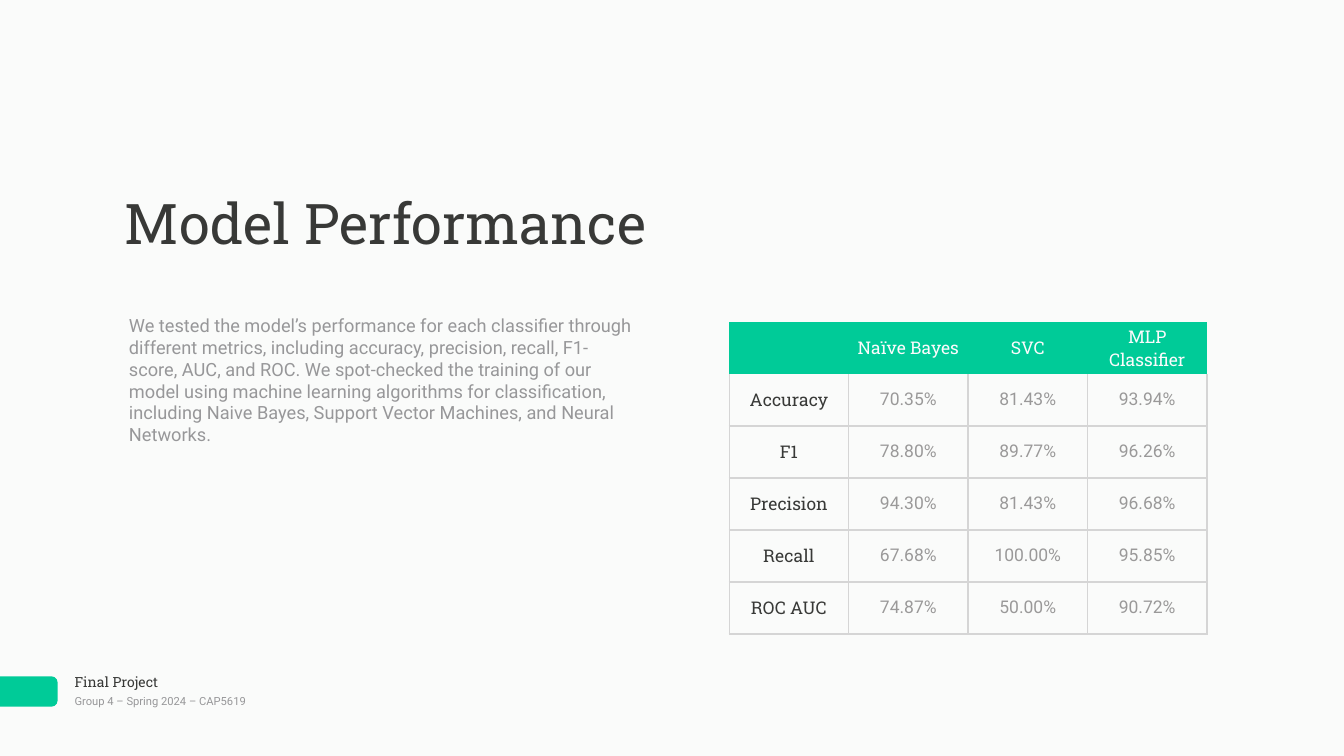
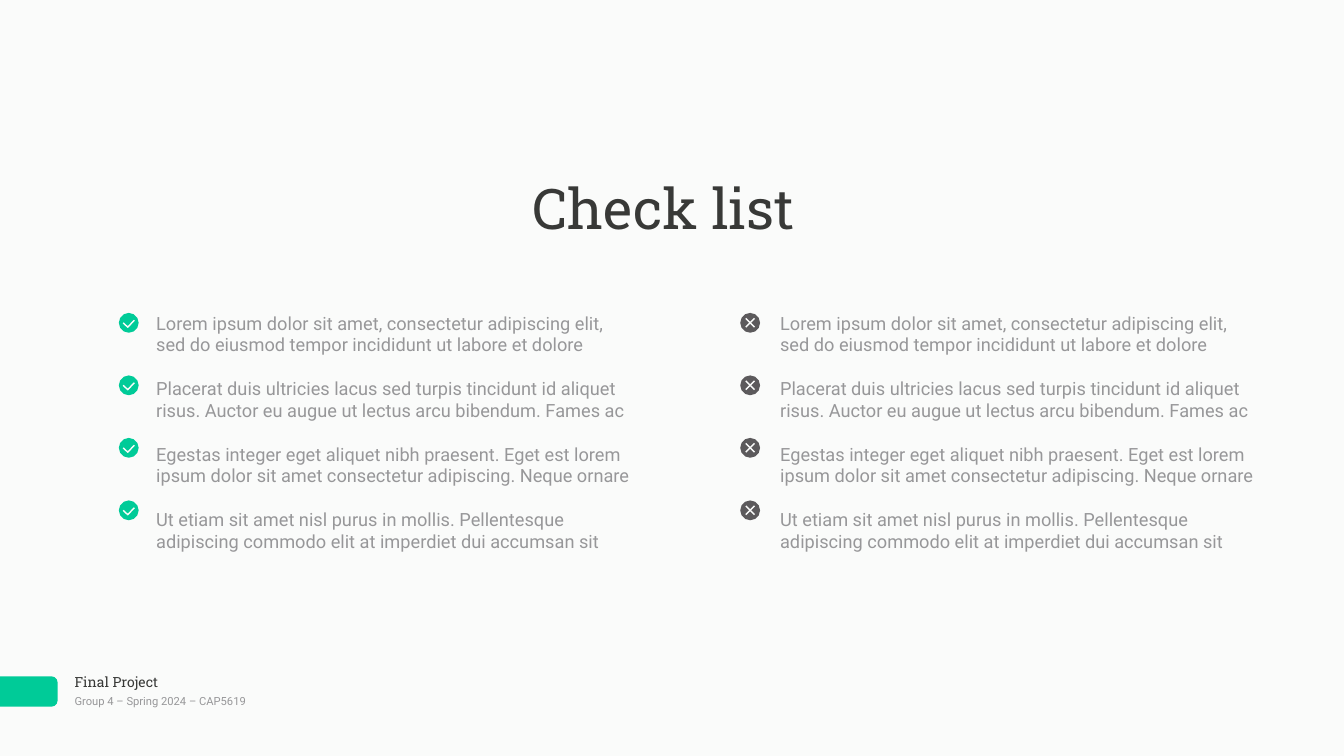
import pptx
import pptx.util
import pptx.dml.color
import pptx.enum.shapes
import pptx.enum.text
import pptx.oxml
from pptx.oxml.ns import nsdecls

Cm, Pt = pptx.util.Cm, pptx.util.Pt
ALIGN = pptx.enum.text.PP_ALIGN
ANCHOR = pptx.enum.text.MSO_ANCHOR
SHAPE = pptx.enum.shapes.MSO_SHAPE

PAPER, GREEN, DARK, GREY = "FAFBFA", "00CB98", "383937", "979799"
CROSS_GREY, CELL_GREY, HEADER_WHITE, BORDER = "5C5A5C", "9A9999", "FBFBFC", "D5D5D5"
SLAB, SANS = "Roboto Slab", "Roboto"
INSET = Cm(0.15)

TICK = [[(-0.28, 0), (-0.05, 0.22), (0.28, -0.13)]]
CROSS = [[(-0.22, -0.22), (0.22, 0.22)], [(-0.22, 0.22), (0.22, -0.22)]]

METRICS = [
    ["", "Naïve Bayes", "SVC", "MLP\vClassifier"],
    ["Accuracy", "70.35%", "81.43%", "93.94%"],
    ["F1", "78.80%", "89.77%", "96.26%"],
    ["Precision", "94.30%", "81.43%", "96.68%"],
    ["Recall", "67.68%", "100.00%", "95.85%"],
    ["ROC AUC", "74.87%", "50.00%", "90.72%"],
]

SUMMARY = (
    "We tested the model’s performance for each classifier through different metrics, "
    "including accuracy, precision, recall, F1-score, AUC, and ROC. We spot-checked the "
    "training of our model using machine learning algorithms for classification, including "
    "Naive Bayes, Support Vector Machines, and Neural Networks."
)

CHECKS = [
    "Lorem ipsum dolor sit amet, consectetur adipiscing elit, "
    "sed do eiusmod tempor incididunt ut labore et dolore",
    "Placerat duis ultricies lacus sed turpis tincidunt id aliquet risus. "
    "Auctor eu augue ut lectus arcu bibendum. Fames ac",
    "Egestas integer eget aliquet nibh praesent. Eget est lorem ipsum dolor "
    "sit amet consectetur adipiscing. Neque ornare",
    "Ut etiam sit amet nisl purus in mollis. Pellentesque adipiscing commodo "
    "elit at imperdiet dui accumsan sit",
]


def rgb(value):
    return pptx.dml.color.RGBColor.from_string(value)


def paint(fill, colour):
    fill.solid()
    fill.fore_color.rgb = rgb(colour)


def write(tf, text, size=26, font=SANS, colour=GREY, align=ALIGN.LEFT,
          anchor=ANCHOR.TOP, gap=0):
    paragraphs = [text] if isinstance(text, str) else text
    tf.word_wrap = True
    tf.vertical_anchor = anchor
    tf.margin_left = tf.margin_right = tf.margin_top = tf.margin_bottom = INSET
    for i, content in enumerate(paragraphs):
        p = tf.add_paragraph() if i else tf.paragraphs[0]
        p.text = content
        p.alignment = align
        p.space_before = Pt(gap if i else 0)
        for r in p.runs:
            r.font.name = font
            r.font.size = Pt(size)
            r.font.color.rgb = rgb(colour)


def add_text(s, text, x, y, w, h, **style):
    box = s.shapes.add_textbox(Cm(x), Cm(y), Cm(w), Cm(h))
    write(box.text_frame, text, **style)


def set_title(s, text, x, y, w, align=ALIGN.LEFT):
    title = s.shapes.title
    title.left, title.top, title.width, title.height = Cm(x), Cm(y), Cm(w), Cm(3.71)
    title.text_frame.auto_size = pptx.enum.text.MSO_AUTO_SIZE.NONE
    write(title.text_frame, text, size=80, font=SLAB, colour=DARK, align=align)


def add_solid(s, kind, x, y, w, h, colour):
    sp = s.shapes.add_shape(kind, Cm(x), Cm(y), Cm(w), Cm(h))
    sp.shadow.inherit = False
    paint(sp.fill, colour)
    sp.line.fill.background()
    return sp


def add_footer(s):
    tag = add_solid(s, SHAPE.ROUNDED_RECTANGLE, -0.3, 34.09, 3.2, 1.52, GREEN)
    tag.adjustments[0] = 0.19
    add_text(s, "Final Project", 3.61, 33.78, 8.1, 1.14, size=20, font=SLAB, colour=DARK)
    add_text(s, "Group 4 – Spring 2024 – CAP5619", 3.61, 34.87, 11.99, 0.97,
             size=16, anchor=ANCHOR.MIDDLE)


def new_slide(prs):
    s = prs.slides.add_slide(prs.slide_layouts[5])
    add_footer(s)
    return s


def set_borders(cell, visible):
    tc_pr = cell._tc.get_or_add_tcPr()
    for i, side in enumerate("LRTB"):
        if side in visible:
            paint_xml = f'<a:solidFill><a:srgbClr val="{BORDER}"/></a:solidFill>'
        else:
            paint_xml = "<a:noFill/>"
        line = f'<a:ln{side} {nsdecls("a")} w="{Pt(2)}">{paint_xml}</a:ln{side}>'
        tc_pr.insert(i, pptx.oxml.parse_xml(line))


def add_metrics_table(s, rows, x, y, col_w, row_h):
    n_rows, n_cols = len(rows), len(rows[0])
    frame = s.shapes.add_table(n_rows, n_cols, Cm(x), Cm(y),
                               Cm(col_w * n_cols), Cm(row_h * n_rows))
    table = frame.table
    for col in table.columns:
        col.width = Cm(col_w)
    for i, row in enumerate(rows):
        table.rows[i].height = Cm(row_h)
        for j, text in enumerate(row):
            cell = table.cell(i, j)
            if i == 0:
                font, colour, borders = SLAB, HEADER_WHITE, ""
                paint(cell.fill, GREEN)
            else:
                font, colour = (SANS, CELL_GREY) if j else (SLAB, DARK)
                borders = "LRB" if i == 1 else "LRTB"
                cell.fill.background()
            set_borders(cell, borders)
            write(cell.text_frame, text, size=25, font=font, colour=colour,
                  align=ALIGN.CENTER)
            cell.vertical_anchor = ANCHOR.MIDDLE
            cell.margin_left = cell.margin_right = INSET
            cell.margin_top = cell.margin_bottom = INSET


def add_mark(s, x, y, colour, strokes):
    size = 1
    add_solid(s, SHAPE.OVAL, x, y, size, size, colour)
    placed = [[(Cm(x + size / 2 + dx), Cm(y + size / 2 + dy)) for dx, dy in stroke]
              for stroke in strokes]
    fb = s.shapes.build_freeform(*placed[0][0])
    for stroke in placed:
        fb.move_to(*stroke[0])
        fb.add_line_segments(stroke[1:], close=False)
    sp = fb.convert_to_shape()
    sp.shadow.inherit = False
    sp.fill.background()
    sp.line.color.rgb = rgb(PAPER)
    sp.line.width = Pt(2)


def add_checklist(s, items, mark_x, text_x, colour, strokes):
    add_text(s, items, text_x, 15.57, 24.43, 12.52, gap=31.2)
    for i in range(len(items)):
        add_mark(s, mark_x, 15.77 + 3.15 * i, colour, strokes)


def build_performance(prs):
    s = new_slide(prs)
    set_title(s, "Model Performance", 6.15, 9.37, 26.62)
    add_text(s, SUMMARY, 6.35, 15.7, 25.86, 6.96)
    add_metrics_table(s, METRICS, 36.75, 16.23, 6.02, 2.62)


def build_checklists(prs):
    s = new_slide(prs)
    set_title(s, "Check list", 23.27, 8.61, 20.35, align=ALIGN.CENTER)
    add_checklist(s, CHECKS, 5.99, 7.72, GREEN, TICK)
    add_checklist(s, CHECKS, 37.31, 39.17, CROSS_GREY, CROSS)


def main():
    prs = pptx.Presentation()
    prs.slide_width, prs.slide_height = Cm(67.74), Cm(38.1)
    paint(prs.slide_master.background.fill, PAPER)
    build_performance(prs)
    build_checklists(prs)
    prs.save("out.pptx")


if __name__ == "__main__":
    main()
